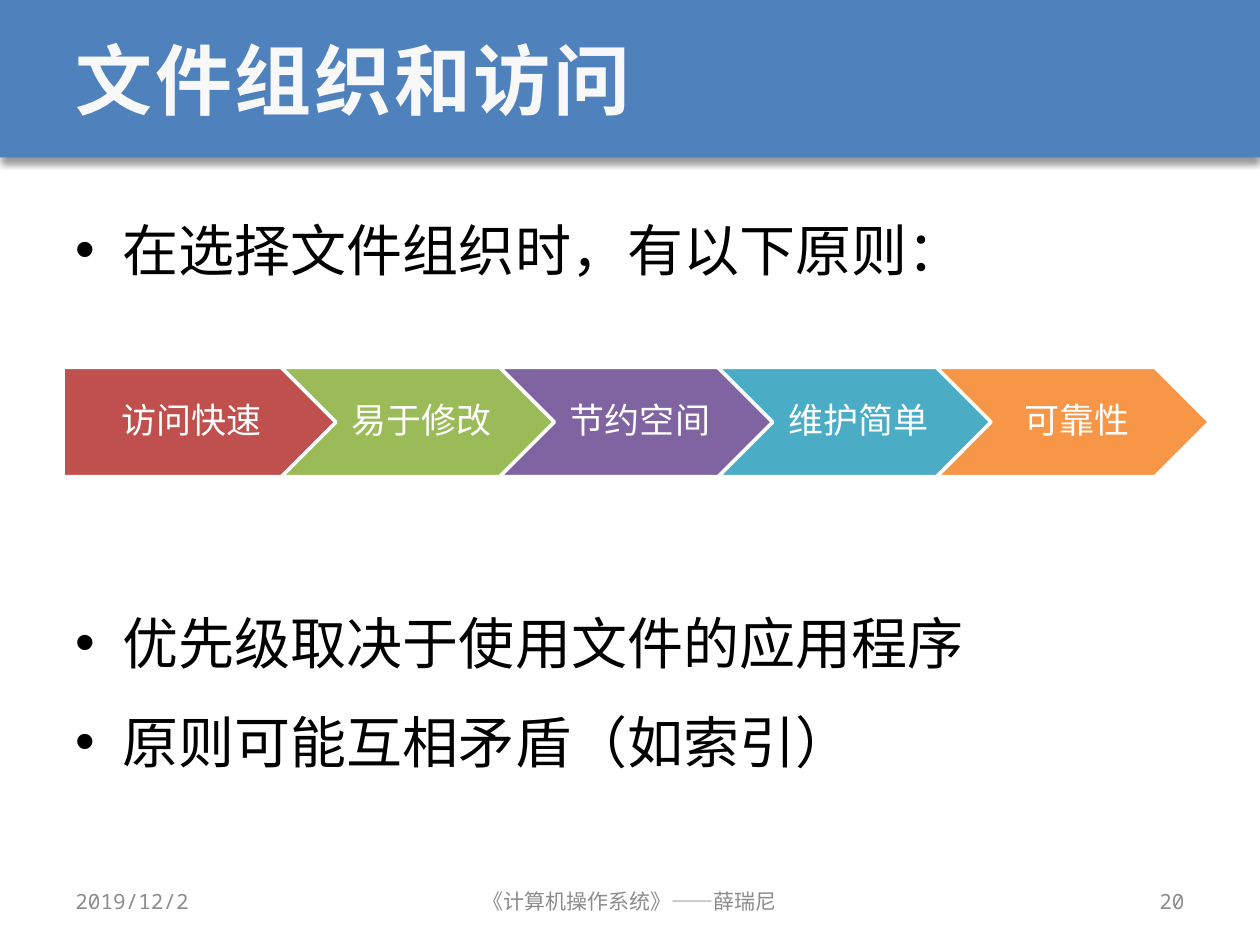
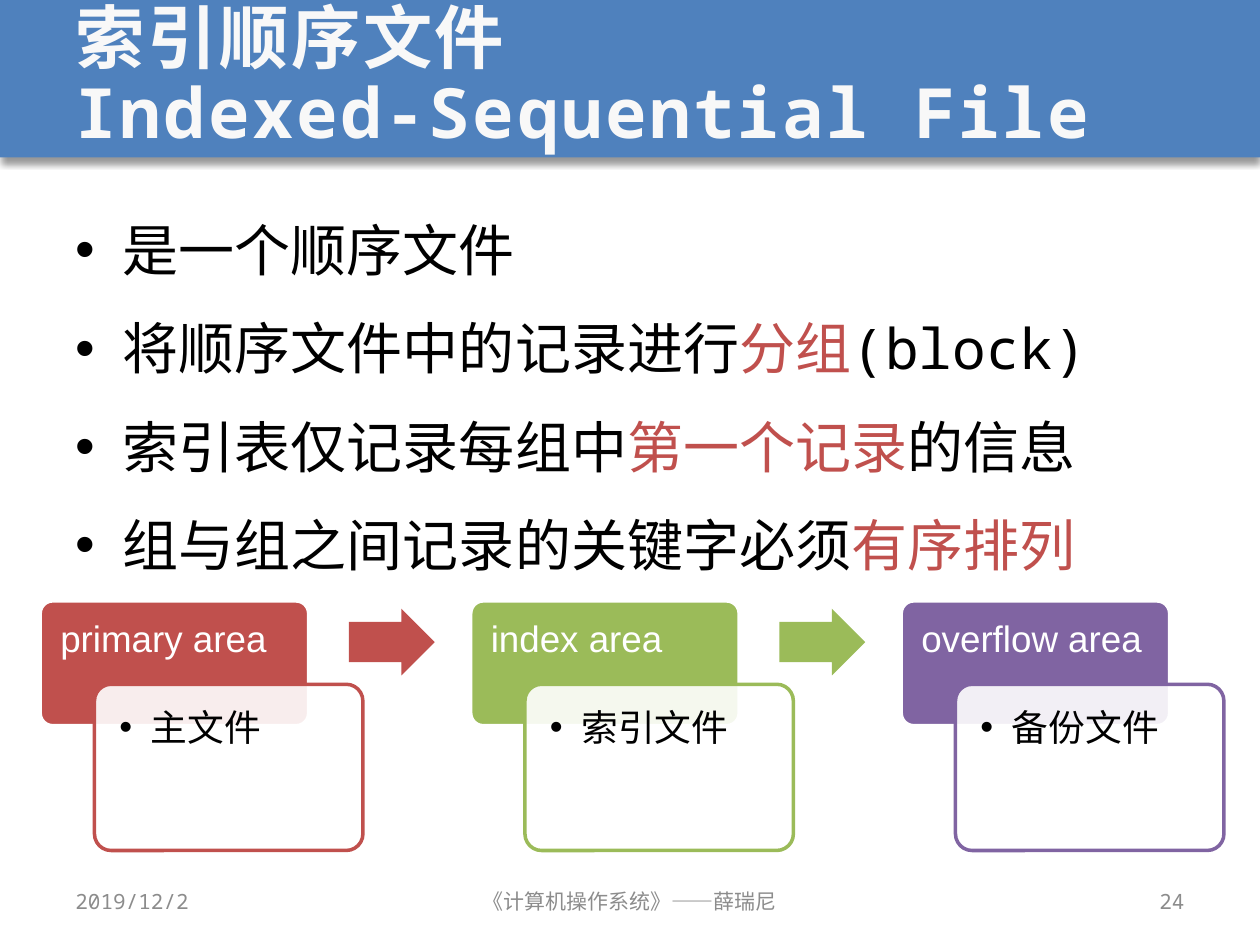
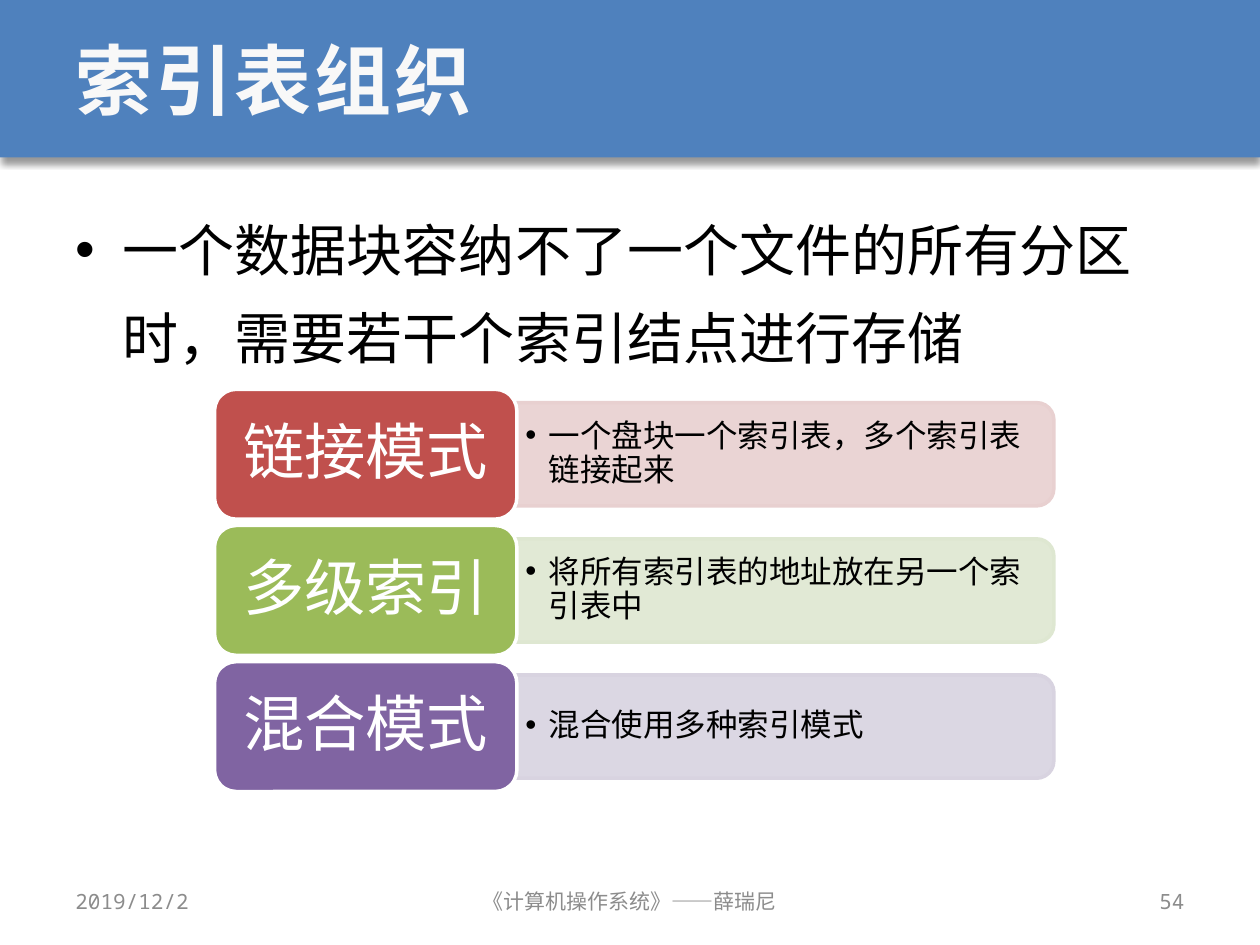
"""Build three lecture slides on file organisation and index tables."""
from lxml import etree
from pptx import Presentation
from pptx.dml.color import RGBColor
from pptx.enum.shapes import MSO_SHAPE
from pptx.enum.text import MSO_ANCHOR, MSO_AUTO_SIZE, PP_ALIGN
from pptx.oxml.ns import qn
from pptx.util import Pt

LEFT, CENTER, RIGHT = PP_ALIGN.LEFT, PP_ALIGN.CENTER, PP_ALIGN.RIGHT
TOP, MIDDLE = MSO_ANCHOR.TOP, MSO_ANCHOR.MIDDLE
RECTANGLE, ROUNDED = MSO_SHAPE.RECTANGLE, MSO_SHAPE.ROUNDED_RECTANGLE
PENTAGON, CHEVRON = MSO_SHAPE.PENTAGON, MSO_SHAPE.CHEVRON
ARROW, TWO_ROUNDED = MSO_SHAPE.RIGHT_ARROW, MSO_SHAPE.ROUND_2_SAME_RECTANGLE
NO_FIT = MSO_AUTO_SIZE.NONE


class Theme:
    heading_font, label_font = "Noto Sans Mono", "Arial"
    band, title, footer = "4F81BD", "F8F8F8", "8C8C8C"
    black, white = "000000", "FFFFFF"
    red, green, purple, cyan, orange = "C0504D", "9BBB59", "8064A2", "4BACC6", "F79646"
    tints = ("E8D0D0", "DEE7D1", "D8D3E0")
    title_size, two_line_size, body_size, footer_size = 44, 39.6, 32, 12
    step_size, area_size, mode_size, note_size = 20, 21, 35, 18


def block(page, kind, bounds, fill, line=None, opacity=100):
    shape = page.shapes.add_shape(kind, *map(Pt, bounds))
    shape.shadow.inherit = False
    shape.fill.solid()
    shape.fill.fore_color.rgb = RGBColor.from_string(fill)
    if line:
        shape.line.color.rgb = RGBColor.from_string(line)
        shape.line.width = Pt(2)
    else:
        shape.line.fill.background()
    if opacity < 100:
        color = shape._element.spPr.find(qn("a:solidFill")).find(qn("a:srgbClr"))
        etree.SubElement(color, qn("a:alpha"), val=str(opacity * 1000))
    return shape


def write(box, text, size, color, font=Theme.label_font, align=LEFT, anchor=MIDDLE,
          margins=(7.2, 3.6, 7.2, 3.6), spacing=0.9, indent=0):
    frame = box.text_frame
    frame.word_wrap = True
    frame.auto_size = NO_FIT
    frame.vertical_anchor = anchor
    (frame.margin_left, frame.margin_top,
     frame.margin_right, frame.margin_bottom) = map(Pt, margins)
    para = frame.paragraphs[0]
    para.text = text
    para.alignment = align
    para.line_spacing = spacing
    if indent:
        properties = para._p.get_or_add_pPr()
        properties.set("marL", str(Pt(indent)))
        properties.set("indent", str(-Pt(indent)))
        etree.SubElement(properties, qn("a:buFont"), typeface="Arial")
        etree.SubElement(properties, qn("a:buChar"), char="•")
    para.font.size = Pt(size)
    para.font.name = font
    para.font.color.rgb = RGBColor.from_string(color)
    return para


deck = Presentation()
deck.slide_width, deck.slide_height = Pt(720), Pt(540)

contents = (
    ("文件组织和访问", "20",
     ("在选择文件组织时，有以下原则：", "优先级取决于使用文件的应用程序", "原则可能互相矛盾（如索引）")),
    ("索引顺序文件\vIndexed-Sequential File", "24",
     ("是一个顺序文件", "将顺序文件中的记录进行*分组*(block)",
      "索引表仅记录每组中*第一个记录*的信息", "组与组之间记录的关键字必须*有序排列*")),
    ("索引表组织", "54",
     ("一个数据块容纳不了一个文件的所有分区时，需要若干个索引结点进行存储",)),
)

for heading, number, bullets in contents:
    page = deck.slides.add_slide(deck.slide_layouts[1])
    title, body = page.placeholders

    band = block(page, RECTANGLE, (0, 0, 720, 90), Theme.band)
    effects = band._element.spPr.find(qn("a:effectLst"))
    shadow = etree.SubElement(effects, qn("a:outerShdw"), blurRad=str(Pt(4)),
                              dist=str(Pt(3)), dir="5400000", rotWithShape="0")
    shade = etree.SubElement(shadow, qn("a:srgbClr"), val=Theme.black)
    etree.SubElement(shade, qn("a:alpha"), val="40000")
    page.shapes._spTree.insert(2, band._element)

    title.left, title.top, title.width, title.height = map(Pt, (36, 0, 648, 90))
    two_lines = "\v" in heading
    para = write(title, heading, Theme.two_line_size if two_lines else Theme.title_size,
                 Theme.title, Theme.heading_font, spacing=0.9 if two_lines else 1.0)
    para.font.bold = True
    para.font._element.set("spc", "150")

    body.left, body.top, body.width, body.height = map(Pt, (36, 108, 648, 382))
    frame = body.text_frame
    frame.auto_size = NO_FIT
    for index, bullet in enumerate(bullets):
        para = frame.add_paragraph() if index else frame.paragraphs[0]
        para.line_spacing = Pt(50)
        para.space_before = Pt(6.2 if index else 0)
        para.font.size = Pt(Theme.body_size)
        para.font.name = Theme.heading_font
        para.font.color.rgb = RGBColor.from_string(Theme.black)
        for position, words in enumerate(bullet.split("*")):
            if words:
                span = para.add_run()
                span.text = words
                if position % 2:
                    span.font.color.rgb = RGBColor.from_string(Theme.red)

    for left, width, text, align in ((36, 168, "2019/12/2", LEFT),
                                     (246, 228, "《计算机操作系统》——薛瑞尼", CENTER),
                                     (516, 168, number, RIGHT)):
        footer = page.shapes.add_textbox(Pt(left), Pt(500.5), Pt(width), Pt(28.8))
        write(footer, text, Theme.footer_size, Theme.footer, Theme.heading_font, align,
              spacing=1.0)

principles_page, indexed_page, table_page = deck.slides

principles_page.placeholders[1].text_frame.paragraphs[1].space_before = Pt(174.6)
principles = (("访问快速", Theme.red), ("易于修改", Theme.green), ("节约空间", Theme.purple),
              ("维护简单", Theme.cyan), ("可靠性", Theme.orange))
for index, (text, color) in enumerate(principles):
    step = block(principles_page, CHEVRON if index else PENTAGON,
                 (36 + 124.8 * index, 210, 156, 62.4), color, Theme.white)
    write(step, text, Theme.step_size, Theme.white, align=CENTER,
          margins=(6.5 if index else 8.6, 4.3, 2.2, 4.3))

areas = (("primary area", "主文件", Theme.red), ("index area", "索引文件", Theme.green),
         ("overflow area", "备份文件", Theme.purple))
for index, (area, file_kind, color) in enumerate(areas):
    left = 23 + 246 * index
    header = block(indexed_page, ROUNDED, (left, 343.4, 153.4, 71.3), color, Theme.white)
    header.adjustments[0] = 0.1
    write(header, area, Theme.area_size, Theme.white, anchor=TOP, margins=(9.4, 9.4, 9.4, 6))
    card = block(indexed_page, ROUNDED, (left + 31, 391, 153.4, 95), Theme.white, color, 90)
    card.adjustments[0] = 0.1
    write(card, file_kind, Theme.area_size, Theme.black, anchor=TOP,
          margins=(11.5, 11.5, 11.5, 11.5), indent=18)
    if index < len(areas) - 1:
        arrow = block(indexed_page, ARROW, (left + 176.4, 347.8, 49, 38.2), color)
        arrow.adjustments[0], arrow.adjustments[1] = 0.6, 0.5

modes = (("链接模式", "一个盘块一个索引表，多个索引表链接起来", Theme.red),
         ("多级索引", "将所有索引表的地址放在另一个索引表中", Theme.green),
         ("混合模式", "混合使用多种索引模式", Theme.purple))
for index, ((mode, note, color), tint) in enumerate(zip(modes, Theme.tints)):
    top = 222.5 + 77.8 * index
    strip = block(table_page, TWO_ROUNDED, (419, top - 116.6, 59, 307.4), tint, tint, 90)
    strip.rotation = 90
    note_box = table_page.shapes.add_textbox(Pt(295.2), Pt(top + 10.2), Pt(304.6), Pt(53.3))
    write(note_box, note, Theme.note_size, Theme.black, margins=(5, 2.9, 5, 2.9), indent=13.5)
    tab = block(table_page, ROUNDED, (122.6, top, 172.8, 74.2), color, Theme.white)
    write(tab, mode, Theme.mode_size, Theme.white, align=CENTER, margins=(10.8, 5, 10.8, 5))

deck.save("out.pptx")
